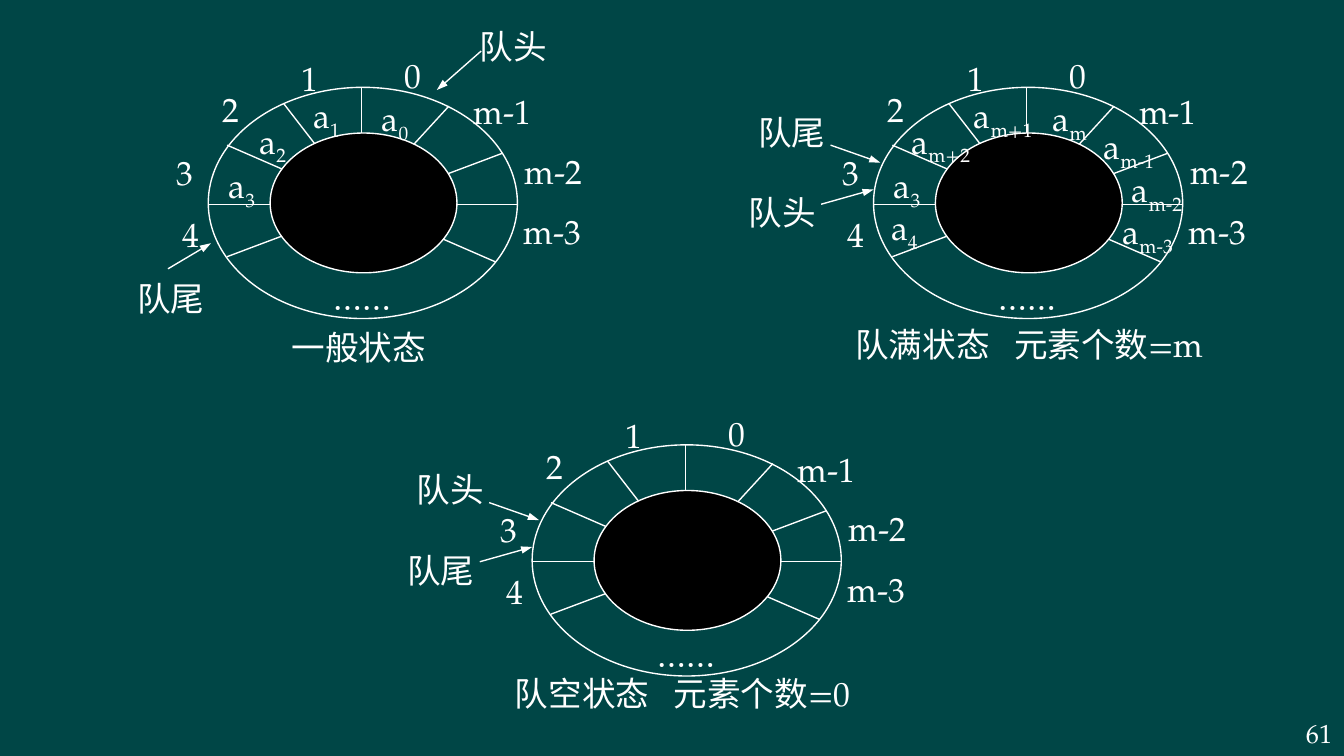
import pptx
import pptx.dml.color
import pptx.enum.shapes
import pptx.enum.text
import pptx.oxml
import pptx.util
from pptx.util import Inches

ALIGN = pptx.enum.text.PP_ALIGN
FONT = "TeX Gyre Pagella"
WHITE = "FFFFFF"


def color(value):
    return pptx.dml.color.RGBColor.from_string(value)


def write(shape, text, size=18, align=ALIGN.CENTER, inset=0, wrap=True):
    """Write text in which '_' starts a subscript and '|' stands for a wide gap."""
    frame = shape.text_frame
    frame.word_wrap = wrap
    frame.vertical_anchor = pptx.enum.text.MSO_ANCHOR.TOP
    frame.margin_left = frame.margin_right = Inches(inset)
    frame.margin_top = frame.margin_bottom = Inches(inset / 2)
    paragraph = frame.paragraphs[0]
    paragraph.alignment = align
    base, _, subscript = text.partition("_")
    before, gap, after = base.partition("|")
    pieces = [(before, {}), (gap and " ", {"spc": "900"}), (after, {}),
              (subscript, {"baseline": "-25000"})]
    for piece, attributes in pieces:
        if not piece:
            continue
        run = paragraph.add_run()
        run.text = piece
        run.font.size = pptx.util.Pt(size)
        run.font.name = FONT
        run.font.color.rgb = color(WHITE)
        for name, value in attributes.items():
            run._r.get_or_add_rPr().set(name, value)


class Drawing:
    """Holds the line style, the slide and the group being drawn."""

    def __init__(self, slide, background):
        self.slide = slide
        self.shapes = slide.shapes
        self.line_color = WHITE
        self.line_width = pptx.util.Pt(0.75)
        slide.background.fill.solid()
        slide.background.fill.fore_color.rgb = color(background)

    def start_group(self):
        self.shapes = self.slide.shapes.add_group_shape().shapes

    def end_group(self):
        self.shapes = self.slide.shapes

    def outline(self, shape):
        shape.line.color.rgb = color(self.line_color)
        shape.line.width = self.line_width

    def ellipse(self, left, top, width, height, fill=None):
        shape = self.shapes.add_shape(
            pptx.enum.shapes.MSO_SHAPE.OVAL,
            Inches(left), Inches(top), Inches(width), Inches(height))
        shape.shadow.inherit = False
        if fill:
            shape.fill.solid()
            shape.fill.fore_color.rgb = color(fill)
        else:
            shape.fill.background()
        self.outline(shape)

    def line(self, x1, y1, x2, y2, arrow=False):
        connector = self.shapes.add_connector(
            pptx.enum.shapes.MSO_CONNECTOR.STRAIGHT,
            Inches(x1), Inches(y1), Inches(x2), Inches(y2))
        self.outline(connector)
        if arrow:
            head = pptx.oxml.xmlchemy.OxmlElement("a:tailEnd")
            head.set("type", "triangle")
            head.set("w", "sm")
            connector.line._get_or_add_ln().append(head)
        properties = connector._element.spPr
        properties.append(pptx.oxml.xmlchemy.OxmlElement("a:effectLst"))

    def label(self, text, left, top, width=0.3, height=0.25, **style):
        box = self.shapes.add_textbox(
            Inches(left), Inches(top), Inches(width), Inches(height))
        write(box, text, **style)


# Places measured from the top left corner of a ring
SPOKES = [(1.14, 0, 1.14, 0.88), (0, 0.87, 2.3, 0.87), (0.56, 0.12, 1.14, 0.87),
          (0.14, 0.43, 2.14, 1.3), (0.14, 1.26, 2.19, 0.49), (1.12, 0.87, 1.79, 0.14)]
INDICES = [("1", 0.61, -0.22, 0.3), ("2", 0.02, 0.01, 0.3), ("3", -0.32, 0.48, 0.3),
           ("4", -0.28, 0.94, 0.3), ("m-1", 1.89, 0.03, 0.6), ("m-2", 2.16, 0.47, 0.82),
           ("m-3", 2.12, 0.92, 0.88), ("0", 1.37, -0.24, 0.3)]

# Pointers of the full and the empty ring sit in the same two places
UPPER = (-1.05, 0.18), (-0.32, 0.43, 0.05, 0.56)
LOWER = (-1.12, 0.78), (-0.39, 0.87, 0, 0.76)

# Each ring: position, elements, pointers, caption with its place and width
RINGS = [
    dict(left=6.5, top=0.65,
         elements=[("a_m", 1.24, 0.08, 0.44), ("a_m+1", 0.73, 0.06, 0.47),
                   ("a_m+2", 0.28, 0.25, 0.44), ("a_3", 0.1, 0.58, 0.3),
                   ("a_4", 0.08, 0.89, 0.3), ("a_m-2", 1.91, 0.61, 0.4),
                   ("a_m-3", 1.84, 0.92, 0.4), ("a_m-1", 1.7, 0.29, 0.4)],
         pointers=[("队头", *LOWER), ("队尾", *UPPER)],
         caption=("队满状态|元素个数=m", -0.42, 1.71, 3.16)),
    dict(left=3.96, top=3.31, elements=[],
         pointers=[("队尾", *LOWER), ("队头", *UPPER)],
         caption=("队空状态|元素个数=0", -0.46, 1.65, 3.16)),
    dict(left=1.55, top=0.65,
         elements=[("a_0", 1.24, 0.08, 0.3), ("a_1", 0.73, 0.06, 0.3),
                   ("a_2", 0.33, 0.25, 0.3), ("a_3", 0.1, 0.58, 0.3)],
         pointers=[("队尾", (-0.72, 1.42), (-0.3, 1.35, 0.02, 1.16)),
                   ("队头", (1.83, -0.46), (2.03, -0.27, 1.7, 0.02))],
         caption=("一般状态", -0.16, 1.73, 2.56)),
]


def draw_ring(drawing, left, top, elements, pointers, caption):
    drawing.start_group()
    # Ring with its cells
    drawing.ellipse(left, top, 2.3, 1.72)
    for x1, y1, x2, y2 in SPOKES:
        drawing.line(left + x1, top + y1, left + x2, top + y2)
    drawing.ellipse(left + 0.46, top + 0.34, 1.39, 1.04, fill="000000")
    # Cell indices and elements
    for text, x, y, width in INDICES + elements:
        drawing.label(text, left + x, top + y, width, wrap=False)
    drawing.label("……", left + 0.63, top + 1.36, 1.03, 0.37, inset=0.1)
    # Head and tail pointers
    for text, (x, y), (x1, y1, x2, y2) in pointers:
        drawing.label(text, left + x, top + y, 0.88, 0.29)
        drawing.line(left + x1, top + y1, left + x2, top + y2, arrow=True)
    # Caption
    text, x, y, width = caption
    drawing.label(text, left + x, top + y, width, 0.46, inset=0.1)
    drawing.end_group()


# A slide of 16 to 9
presentation = pptx.Presentation()
presentation.slide_width = Inches(10)
presentation.slide_height = Inches(10 * 9 / 16)
slide = presentation.slides.add_slide(presentation.slide_layouts[6])
drawing = Drawing(slide, background="004646")

for ring in RINGS:
    draw_ring(drawing, **ring)

# Slide number
drawing.label("61", 9.46, 5.29, 0.55, 0.34, size=14, align=ALIGN.RIGHT, inset=0.1)

presentation.save("out.pptx")
